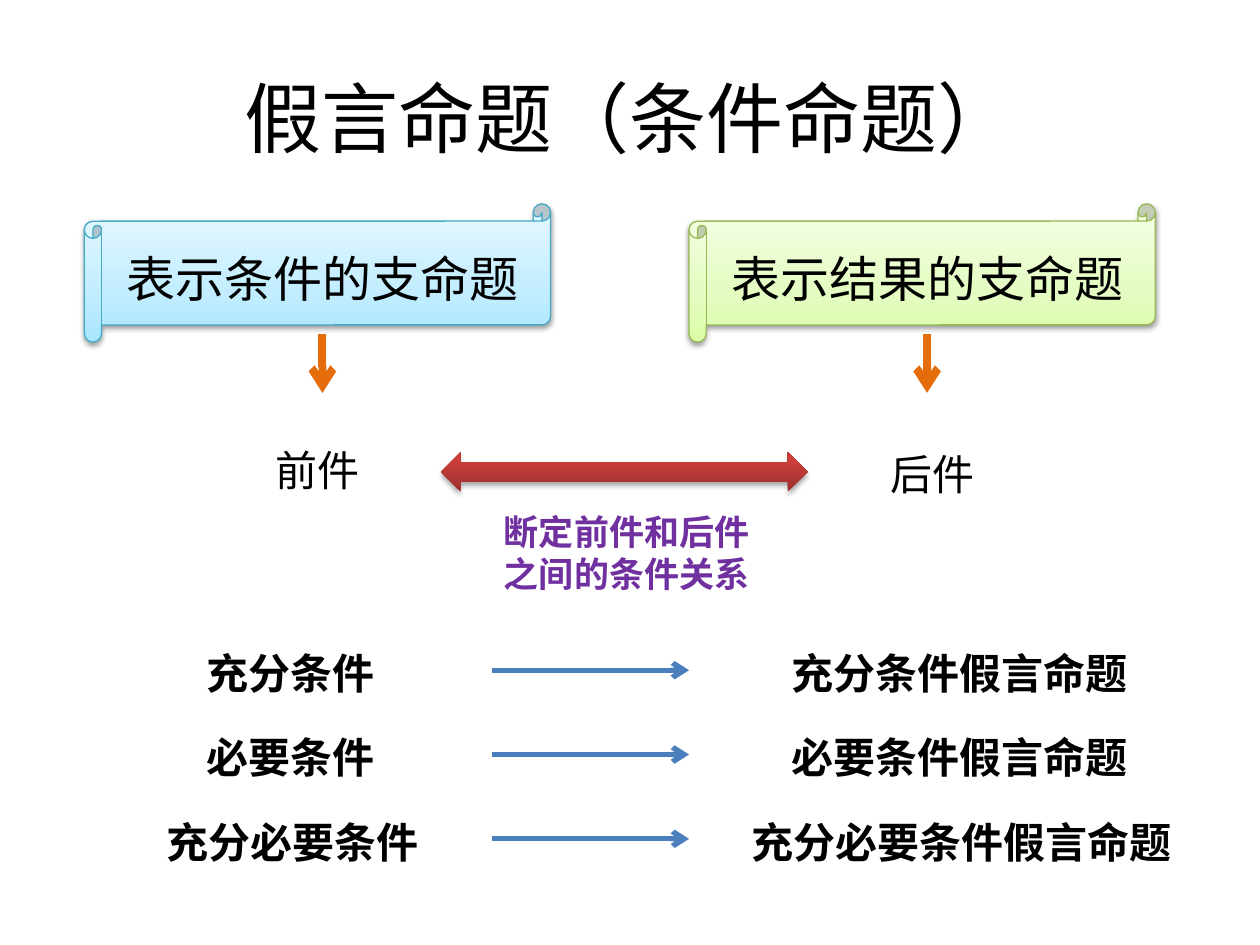
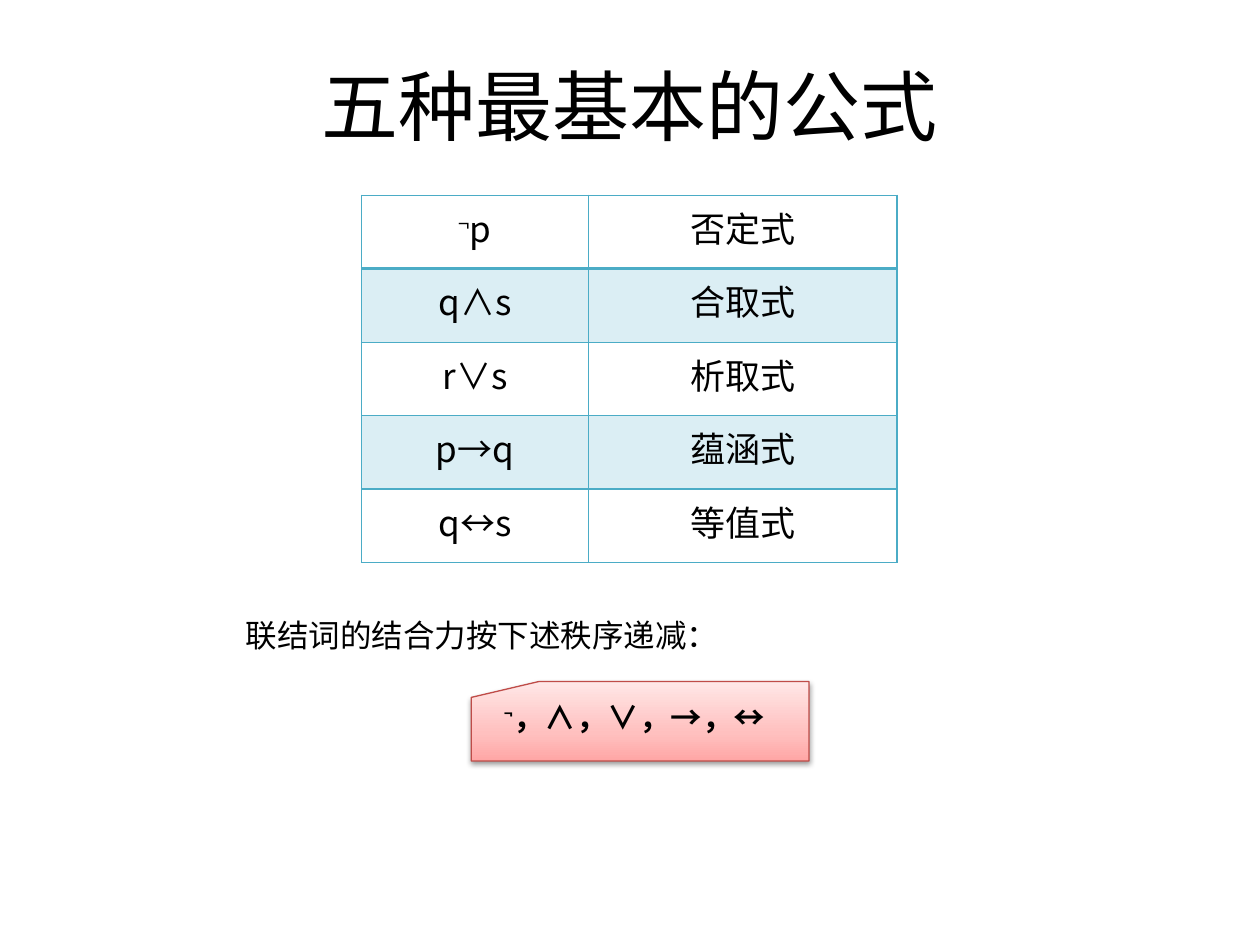
"""Build two slides on conditional propositions and the five basic formulas."""
from dataclasses import dataclass
from itertools import groupby

from lxml import etree
from pptx import Presentation
from pptx.dml.color import RGBColor
from pptx.enum.shapes import MSO_CONNECTOR, MSO_SHAPE
from pptx.enum.text import MSO_ANCHOR, PP_ALIGN
from pptx.oxml import parse_xml
from pptx.oxml.ns import nsdecls, qn
from pptx.util import Cm, Pt

LEFT, CENTER = PP_ALIGN.LEFT, PP_ALIGN.CENTER
TOP, MIDDLE = MSO_ANCHOR.TOP, MSO_ANCHOR.MIDDLE
STRAIGHT = MSO_CONNECTOR.STRAIGHT
SCROLL = MSO_SHAPE.HORIZONTAL_SCROLL
DOUBLE_ARROW = MSO_SHAPE.LEFT_RIGHT_ARROW
CARD = MSO_SHAPE.FLOWCHART_CARD


@dataclass(frozen=True)
class Theme:
    sans: str = "Noto Sans CJK SC"
    sans_alt: str = "Noto Sans CJK JP"
    note_font: str = "Arial"
    symbol_font: str = "Calibri"
    title: int = 44
    scroll: int = 28
    term: int = 24
    formula: int = 20
    note: int = 18
    ink: str = "000000"
    purple: str = "7030A0"
    orange: str = "E46C0A"
    blue: str = "4B7EBC"
    grid: str = "4BACC6"
    band: str = "DBEEF4"
    aqua: tuple = ((0, "A7E6FF"), (35, "C1EDFF"), (100, "E7F8FF"))
    aqua_line: str = "46AAC5"
    green: tuple = ((0, "DAFDA7"), (35, "E4FCC2"), (100, "F5FFE7"))
    green_line: str = "98B955"
    red: tuple = ((0, "9C2F2D"), (80, "CB3E3A"), (100, "CE3B37"))
    pink: tuple = ((0, "FFA6A5"), (35, "FFC0BF"), (100, "FFE7E7"))
    pink_line: str = "BF4C48"


theme = Theme()


def write(frame, text, size=theme.term, font=theme.sans, east=None, color=theme.ink,
          bold=False, align=LEFT, anchor=TOP):
    frame.word_wrap = True
    frame.vertical_anchor = anchor
    paragraph = frame.paragraphs[0]
    paragraph.alignment = align
    for raised, letters in groupby(text, lambda letter: letter == "¬"):
        run = paragraph.add_run()
        run.text = "".join(letters)
        run.font.size = Pt(size)
        run.font.bold = bold
        run.font.color.rgb = RGBColor.from_string(color)
        run.font.name = font
        properties = run.font._element
        etree.SubElement(properties, qn("a:ea")).set("typeface", east or font)
        if raised:
            properties.set("baseline", "30000")


def add_glossy(slide, kind, box, stops, outline=None, shadow=(38, 1.6)):
    shape = slide.shapes.add_shape(kind, *map(Cm, box))
    if outline:
        shape.line.color.rgb = RGBColor.from_string(outline)
        shape.line.width = Pt(0.75)
    else:
        shape.line.fill.background()
    shape.fill.gradient()
    shape.fill.gradient_angle = 90
    stop_list = shape._element.spPr.find(qn("a:gradFill")).find(qn("a:gsLst"))
    stop_list.clear()
    for position, color in stops:
        stop = etree.SubElement(stop_list, qn("a:gs"), pos=str(position * 1000))
        etree.SubElement(stop, qn("a:srgbClr"), val=color)
    opacity, distance = shadow
    shape.shadow.inherit = False
    effects = shape._element.spPr.find(qn("a:effectLst"))
    effects.append(parse_xml(
        f'<a:outerShdw {nsdecls("a")} blurRad="{Pt(3.1)}" dist="{Pt(distance)}" '
        f'dir="5400000" rotWithShape="0"><a:srgbClr val="000000">'
        f'<a:alpha val="{opacity * 1000}"/></a:srgbClr></a:outerShdw>'))


deck = Presentation()
deck.slide_width, deck.slide_height = Cm(25.4), Cm(19.05)
blank = deck.slide_layouts[6]
slides = []
for heading, heading_top in (("假言命题（条件命题）", 0.76), ("五种最基本的公式", 0.53)):
    slide = deck.slides.add_slide(blank)
    title = slide.shapes.add_textbox(Cm(1.27), Cm(heading_top), Cm(22.86), Cm(3.18))
    write(title.text_frame, heading, size=theme.title, font=theme.sans_alt,
          align=CENTER, anchor=MIDDLE)
    slides.append(slide)
conditional, formulas = slides

arrows = []
parts = (
    ("表示条件的支命题", theme.aqua, theme.aqua_line, "前件", 5.31, 8.84),
    ("表示结果的支命题", theme.green, theme.green_line, "后件", 17.7, 8.92),
)
for column, (meaning, stops, outline, term, term_left, term_top) in enumerate(parts):
    shift = column * 12.19
    add_glossy(conditional, SCROLL, (1.7 + shift, 4.11, 9.4, 2.79), stops, outline)
    label = conditional.shapes.add_textbox(Cm(2.31 + shift), Cm(4.88), Cm(9.19), Cm(1.45))
    write(label.text_frame, meaning, size=theme.scroll)
    name = conditional.shapes.add_textbox(Cm(term_left), Cm(term_top), Cm(2.59), Cm(1.27))
    write(name.text_frame, term, font=theme.sans_alt)
    arrows.append(((6.5 + shift, 6.73, 6.5 + shift, 7.92), theme.orange, 4.5))

add_glossy(conditional, DOUBLE_ARROW, (8.89, 9.12, 7.39, 0.79), theme.red, shadow=(35, 1.8))
relation = conditional.shapes.add_textbox(Cm(9.91), Cm(10.16), Cm(5.99), Cm(1.96))
write(relation.text_frame, "断定前件和后件之间的条件关系", size=theme.formula,
      font=theme.sans_alt, color=theme.purple, bold=True)

conditions = (
    ("充分条件", 3.91, 4.39, 15.7, 7.8),
    ("必要条件", 3.91, 4.39, 15.7, 7.8),
    ("充分必要条件", 3.1, 6.81, 14.91, 9.19),
)
for row, (condition, left, width, result_left, result_width) in enumerate(conditions):
    drop = row * 1.7
    for text, x, w in ((condition, left, width),
                       (condition + "假言命题", result_left, result_width)):
        entry = conditional.shapes.add_textbox(Cm(x), Cm(12.93 + drop), Cm(w), Cm(1.27))
        write(entry.text_frame, text, bold=True)
    arrows.append(((9.91, 13.51 + drop, 13.89, 13.51 + drop), theme.blue, 3))

for ends, color, weight in arrows:
    arrow = conditional.shapes.add_connector(STRAIGHT, *map(Cm, ends))
    arrow.line.color.rgb = RGBColor.from_string(color)
    arrow.line.width = Pt(weight)
    etree.SubElement(arrow.line._get_or_add_ln(), qn("a:tailEnd"), type="arrow")
    etree.SubElement(arrow._element.spPr, qn("a:effectLst"))

formula_rows = (
    ("¬p", "否定式"),
    ("q∧s", "合取式"),
    ("r∨s", "析取式"),
    ("p→q", "蕴涵式"),
    ("q↔s", "等值式"),
)
table = formulas.shapes.add_table(
    len(formula_rows), 2, Cm(7.29), Cm(3.94), Cm(10.79), Cm(7.4)).table
table.first_row = table.horz_banding = False
table.columns[0].width, table.columns[1].width = Cm(4.57), Cm(6.22)
for row, entries in enumerate(formula_rows):
    table.rows[row].height = Cm(1.48)
    for column, text in enumerate(entries):
        cell = table.cell(row, column)
        write(cell.text_frame, text, size=theme.formula, align=CENTER)
        if row % 2:
            cell.fill.solid()
            cell.fill.fore_color.rgb = RGBColor.from_string(theme.band)
        else:
            cell.fill.background()
        weights = {"L": 1, "R": 1, "T": 2 if row == 1 else 1, "B": 2 if row == 0 else 1}
        for position, (side, weight) in enumerate(weights.items()):
            cell._tc.get_or_add_tcPr().insert(position, parse_xml(
                f'<a:ln{side} {nsdecls("a")} w="{Pt(weight)}"><a:solidFill>'
                f'<a:srgbClr val="{theme.grid}"/></a:solidFill></a:ln{side}>'))

note = formulas.shapes.add_textbox(Cm(4.7), Cm(12.29), Cm(13.79), Cm(1.02))
write(note.text_frame, "联结词的结合力按下述秩序递减：", size=theme.note,
      font=theme.note_font, east=theme.sans)
add_glossy(formulas, CARD, (9.5, 13.74, 6.81, 1.6), theme.pink, theme.pink_line)
order = formulas.shapes.add_textbox(Cm(9.91), Cm(13.94), Cm(7.59), Cm(1.8))
write(order.text_frame, "¬，∧，∨，→，↔", size=theme.note, font=theme.symbol_font,
      east=theme.sans, bold=True)

deck.save("out.pptx")
